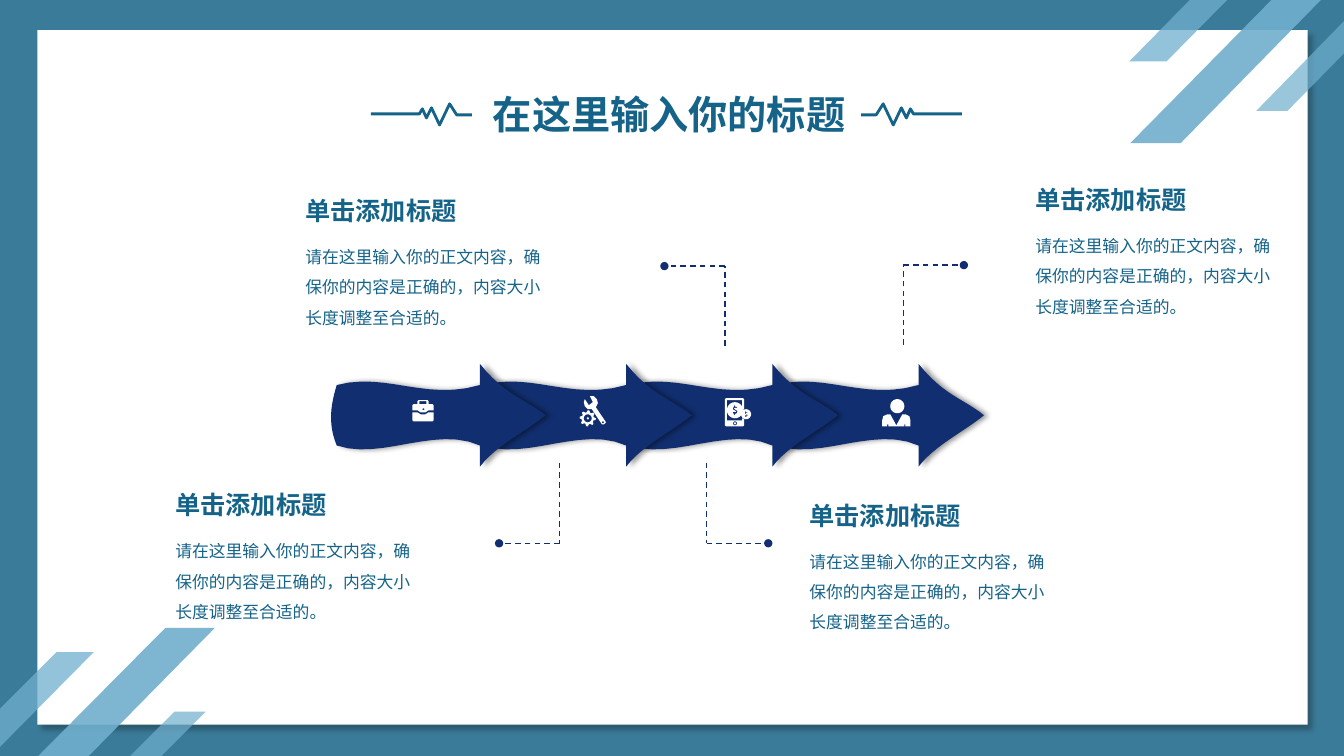
import math
import lxml.etree
import pptx
import pptx.dml.color
import pptx.enum.dml
import pptx.enum.shapes
import pptx.enum.text
import pptx.oxml.ns
import pptx.util

WIDTH, HEIGHT = 13.33, 7.5
FONT = "Noto Sans CJK SC"
FRAME, WHITE, BAND, INK, NAVY = "3A7B99", "FFFFFF", "70AFCE", "156389", "112F70"
TITLE = "在这里输入你的标题"
HEADING = "单击添加标题"
BODY = "请在这里输入你的正文内容，确保你的内容是正确的，内容大小长度调整至合适的。"
NOTES = [(2.93, 1.89), (1.64, 4.81), (7.93, 4.91), (10.17, 1.78)]

BANDS = [
    ([(12.61, 0), (13.1, 0), (11.71, 1.42), (11.21, 1.42)], 90),
    ([(11.8, 0), (12.17, 0), (11.57, 0.61), (11.2, 0.61)], 75),
    ([(13.33, 0.21), (13.33, 0.53), (12.77, 1.1), (12.46, 1.1)], 70),
    ([(1.64, 6.23), (2.13, 6.23), (0.88, 7.5), (0.38, 7.5)], 90),
    ([(0.56, 6.47), (0.93, 6.47), (0, 7.41), (0, 7.03)], 75),
    ([(1.73, 7.06), (2.04, 7.06), (1.6, 7.5), (1.29, 7.5)], 70),
]
PULSE = [(4.68, 1.14), (4.53, 1.14), (4.46, 1.03), (4.36, 1.24), (4.28, 1.07),
         (4.23, 1.17), (4.19, 1.08), (4.16, 1.13), (3.68, 1.13)]

ARROW_START = (3.34, 3.82)
ARROW_PITCH = 1.45
ARROW_CURVES = [
    [(3.83, 3.69), (4.22, 3.98), (4.76, 3.82)],
    [(4.76, 3.61)],
    [(5.02, 3.93), (5.2, 3.95), (5.41, 4.12)],
    [(5.2, 4.29), (4.92, 4.42), (4.76, 4.63)],
    [(4.76, 4.42)],
    [(4.32, 4.22), (3.78, 4.57), (3.34, 4.42)],
    [(3.25, 4.2), (3.28, 4.02), (3.34, 3.82)],
]

LEADERS = [(5.55, 5.39, 4.59, 4.95), (7.01, 5.39, 4.59, 7.62),
           (8.96, 2.63, 3.42, 9.56), (7.19, 2.64, 3.43, 6.59)]

DOLLAR = [(0, 3.5), (0, 4.5), (-1, 4.5), (-1, 3.5), (-2, 2.5), (-1.5, 1.5), (0.5, 1.8),
          (1.2, 1.2), (0.5, 0.5), (-1.5, -0.5), (-2, -1.5), (-1, -3.5), (-1, -4.5),
          (0, -4.5), (0, -3.5), (2.2, -3), (1.8, -2), (0, -2.3), (-0.8, -1.5),
          (0, -0.8), (2, 0.5), (2.3, 1.5), (1.5, 3)]


def ring(x, y, *radii, count=24):
    return [(x + radii[i % len(radii)] * math.cos(math.tau * i / count),
             y + radii[i % len(radii)] * math.sin(math.tau * i / count)) for i in range(count)]


def coin(x, y, radius):
    return [ring(x, y, radius), [(x + a * radius / 7.5, y + b * radius / 7.5) for a, b in DOLLAR]]


BRIEFCASE = [
    [[(4.09, 4.09), (4.14, 4.09), (4.17, 4.11), (4.22, 4.11), (4.25, 4.09), (4.3, 4.09),
      (4.3, 4.17), (4.29, 4.18), (4.1, 4.18), (4.09, 4.17)]],
    [[(4.09, 4.07), (4.09, 4.02), (4.1, 4.01), (4.14, 4.01), (4.14, 3.98), (4.15, 3.97),
      (4.24, 3.97), (4.25, 3.98), (4.25, 4.01), (4.29, 4.01), (4.3, 4.02), (4.3, 4.07),
      (4.25, 4.07), (4.22, 4.09), (4.17, 4.09), (4.14, 4.07)],
     [(4.16, 3.98), (4.23, 3.98), (4.23, 4.01), (4.16, 4.01)],
     ring(4.2, 4.06, 0.01)],
]
TOOLS = [
    [[(6.01, 4.19), (5.91, 4.04), (5.93, 4), (5.92, 3.96), (5.89, 3.93), (5.85, 3.93),
      (5.88, 3.99), (5.84, 4.02), (5.8, 3.96), (5.79, 3.99), (5.8, 4.03), (5.83, 4.06),
      (5.87, 4.06), (5.97, 4.21), (5.99, 4.21)],
     ring(5.98, 4.19, 0.01)],
    [ring(5.83, 4.15, 0.08, 0.08, 0.06, 0.06, count=32), ring(5.83, 4.15, 0.04)],
    [ring(5.83, 4.15, 0.01)],
]
PHONE = [
    [[(7.36, 4.17), (7.21, 4.17), (7.21, 3.97), (7.36, 3.97), (7.36, 4.07), (7.38, 4.06),
      (7.38, 3.96), (7.37, 3.95), (7.2, 3.95), (7.19, 3.96), (7.19, 4.22), (7.2, 4.23),
      (7.37, 4.23), (7.38, 4.22), (7.38, 4.16), (7.36, 4.15)],
     ring(7.29, 4.2, 0.02)],
    [ring(7.29, 4.2, 0.01)],
    coin(7.29, 4.07, 0.08),
    coin(7.4, 4.11, 0.05),
]
PERSON = [
    [ring(8.9, 4.03, 0.07)],
    [[(8.75, 4.23), (8.75, 4.17), (8.76, 4.13), (8.8, 4.11), (8.83, 4.11), (8.89, 4.22),
      (8.95, 4.11), (8.98, 4.11), (9.02, 4.13), (9.03, 4.17), (9.03, 4.23), (8.98, 4.23),
      (8.98, 4.21), (8.97, 4.21), (8.97, 4.23), (8.81, 4.23), (8.81, 4.21), (8.8, 4.21),
      (8.8, 4.23)]],
]
ICONS = [BRIEFCASE, TOOLS, PHONE, PERSON]

inch = pptx.util.Inches
presentation = pptx.Presentation()
presentation.slide_width, presentation.slide_height = inch(WIDTH), inch(HEIGHT)
slide = presentation.slides.add_slide(presentation.slide_layouts[6])


def color(value):
    return pptx.dml.color.RGBColor.from_string(value)


def child(parent, tag, **attributes):
    element = lxml.etree.SubElement(parent, pptx.oxml.ns.qn(tag))
    for name, value in attributes.items():
        element.set(name, str(value))
    return element


def paint(shape, fill, alpha=100):
    shape.shadow.inherit = False
    shape.line.fill.background()
    shape.fill.solid()
    shape.fill.fore_color.rgb = color(fill)
    if alpha < 100:
        child(shape.fill._xPr.find(".//" + pptx.oxml.ns.qn("a:srgbClr")), "a:alpha", val=alpha * 1000)


def cast_shadow(shape, shade, alpha, blur, distance, angle):
    effects = shape._element.spPr.find(pptx.oxml.ns.qn("a:effectLst"))
    outer = child(effects, "a:outerShdw", blurRad=blur * 12700, dist=distance * 12700,
                  dir=angle * 60000, algn="ctr", rotWithShape=0)
    child(child(outer, "a:srgbClr", val=shade), "a:alpha", val=alpha * 1000)


def add_outline(contours, close=True):
    points = [[(inch(x), inch(y)) for x, y in contour] for contour in contours]
    builder = slide.shapes.build_freeform(*points[0][0])
    for index, contour in enumerate(points):
        if index:
            builder.move_to(*contour[0])
        builder.add_line_segments(contour[1:], close=close)
    return builder.convert_to_shape()


def add_panel(left, top, width, height, fill):
    shape = slide.shapes.add_shape(pptx.enum.shapes.MSO_SHAPE.RECTANGLE,
                                   inch(left), inch(top), inch(width), inch(height))
    paint(shape, fill)
    return shape


def add_text(text, left, top, width, height, size, bold=False, wrap=True, spacing=None):
    frame = slide.shapes.add_textbox(inch(left), inch(top), inch(width), inch(height)).text_frame
    frame.text = text
    frame.word_wrap = wrap
    frame.auto_size = pptx.enum.text.MSO_AUTO_SIZE.SHAPE_TO_FIT_TEXT
    paragraph = frame.paragraphs[0]
    paragraph.line_spacing = spacing
    font = paragraph.runs[0].font
    font.size, font.bold, font.name = pptx.util.Pt(size), bold, FONT
    font.color.rgb = color(INK)
    child(font._element, "a:ea", typeface=FONT)


def add_leader(start, end, dot=False):
    connector = slide.shapes.add_connector(pptx.enum.shapes.MSO_CONNECTOR.STRAIGHT,
                                           *map(inch, start + end))
    connector.line.color.rgb = color(NAVY)
    connector.line.width = pptx.util.Pt(1)
    connector.line.dash_style = pptx.enum.dml.MSO_LINE.DASH
    if dot:
        child(connector.line._ln, "a:tailEnd", type="oval")
    child(connector._element.spPr, "a:effectLst")


def flatten(start, curves, steps=12):
    points = [start]
    for curve in curves:
        if len(curve) == 1:
            points += curve
            continue
        controls = [points[-1]] + curve
        for step in range(1, steps + 1):
            t = step / steps
            weights = [math.comb(3, k) * t ** k * (1 - t) ** (3 - k) for k in range(4)]
            points.append(tuple(sum(w * p[axis] for w, p in zip(weights, controls)) for axis in (0, 1)))
    return points


add_panel(0, 0, WIDTH, HEIGHT, FRAME)
cast_shadow(add_panel(0.37, 0.3, 12.6, 6.89, WHITE), "0D0D0D", 30, 4, 5, 45)
for corners, alpha in BANDS:
    paint(add_outline([corners]), BAND, alpha)

for pulse in (PULSE, [(13.22 - x, y) for x, y in PULSE]):
    trace = add_outline([pulse], close=False)
    trace.shadow.inherit = False
    trace.fill.background()
    trace.line.color.rgb = color(INK)
    trace.line.width = pptx.util.Pt(2)
add_text(TITLE, 4.79, 0.85, 3.75, 0.57, 28, bold=True)

arrow_points = flatten(ARROW_START, ARROW_CURVES)
for index in reversed(range(len(ICONS))):
    arrow = add_outline([[(x + index * ARROW_PITCH, y) for x, y in arrow_points]])
    paint(arrow, NAVY)
    cast_shadow(arrow, "000000", 40, 4, 3, 0)
    for contours in ICONS[index]:
        paint(add_outline(contours), WHITE)

for corner_x, corner_y, arrow_y, dot_x in LEADERS:
    add_leader((corner_x, arrow_y), (corner_x, corner_y))
    add_leader((corner_x, corner_y), (dot_x, corner_y), dot=True)

for left, top in NOTES:
    add_text(BODY, left, top + 0.41, 2.66, 0.97, 12, spacing=1.5)
    add_text(HEADING, left, top, 1.76, 0.4, 18, bold=True, wrap=False)

presentation.save("out.pptx")
